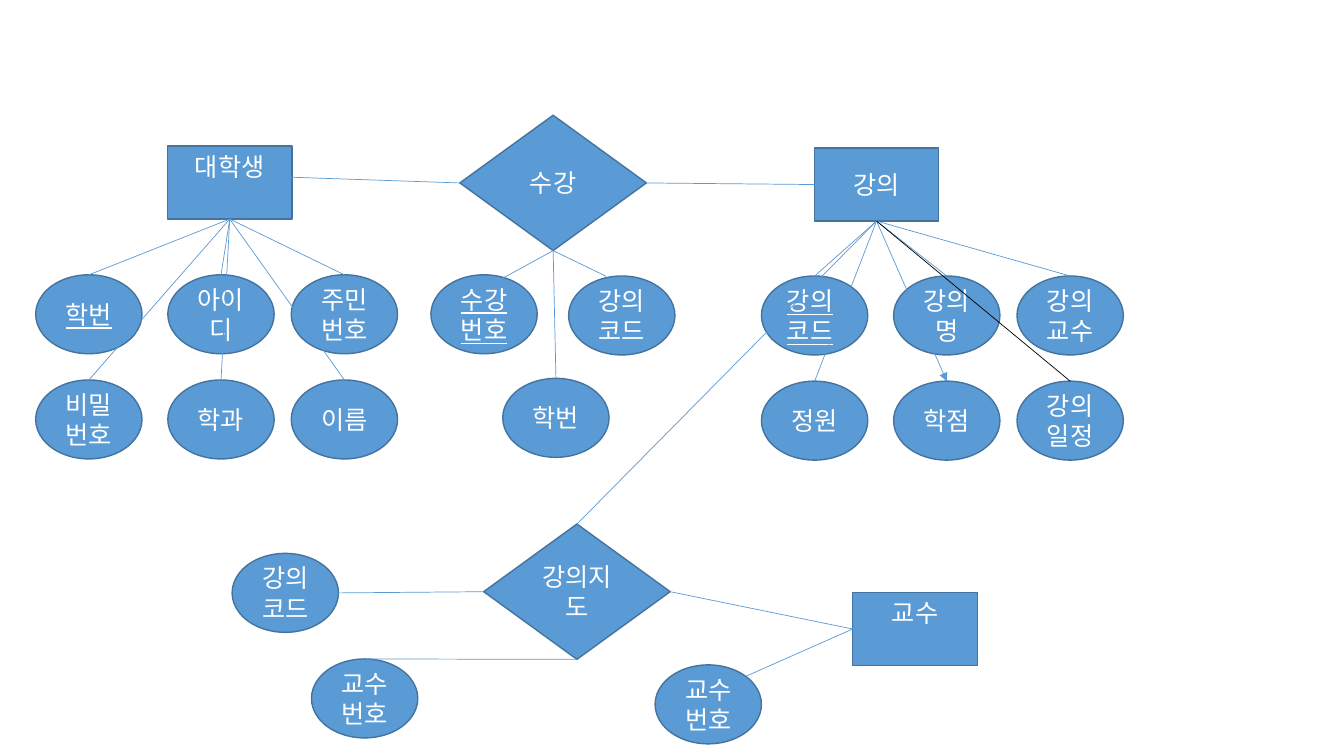
from lxml.etree import SubElement
from pptx import Presentation
from pptx.dml.color import RGBColor
from pptx.enum.shapes import MSO_CONNECTOR, MSO_SHAPE
from pptx.enum.text import MSO_ANCHOR, PP_ALIGN
from pptx.oxml.ns import qn
from pptx.util import Cm, Pt

FONT = "Noto Sans CJK KR"
BLUE, OUTLINE, WHITE, BLACK = "5B9BD5", "43739E", "FFFFFF", "000000"
TOP, LEFT, BOTTOM, RIGHT = range(4)

KINDS = {
    "entity": (MSO_SHAPE.RECTANGLE, 3.14, 1.84),
    "relation": (MSO_SHAPE.DIAMOND, 4.7, 3.41),
    "attribute": (MSO_SHAPE.OVAL, 2.68, 1.99),
}

NODES = {
    "student": ("entity", "대학생", 5.79, 4.6),
    "enrolment": ("relation", "수강", 13.94, 4.61),
    "course": ("entity", "강의", 22.09, 4.65),
    "guidance": ("relation", "강의지도", 14.54, 14.91),
    "professor": ("entity", "교수", 23.06, 15.85),
    "guidance course": ("attribute", "강의코드", 7.19, 14.94),
    "guidance professor": ("attribute", "교수번호", 9.19, 17.6),
    "professor number": ("attribute", "교수번호", 17.85, 17.75),
    "enrolment number": ("attribute", "수강번호", 12.2, 7.92),
    "enrolment course": ("attribute", "강의코드", 15.67, 7.95),
    "enrolment student": ("attribute", "학번", 14.01, 10.53),
}

GRIDS = {
    "student": (2.24, 7.92, [["학번", "아이디", "주민번호"], ["비밀번호", "학과", "이름"]]),
    "course": (20.53, 7.95, [["강의코드", "강의명", "강의교수"], ["정원", "학점", "강의일정"]]),
}
COLUMN_OFFSETS = (0, 3.33, 6.44)
ROW_PITCH = 2.65

PRIMARY_KEYS = {"enrolment number", "student 학번", "course 강의코드"}
TOP_ANCHORED = {"student", "professor"}
LEFT_ALIGNED = {"course 강의코드"}
BLACK_LINKS = {"course 강의일정"}
ARROW_LINKS = {"course 학점"}

LINKS = [
    ((6.88, 4.45), ("enrolment", LEFT)),
    (("course", LEFT), ("enrolment", RIGHT)),
    (("enrolment", BOTTOM), (12.67, 7.01)),
    (("enrolment", BOTTOM), ("enrolment student", TOP)),
    (("enrolment", BOTTOM), (15.27, 6.96)),
    (("guidance", LEFT), (8.53, 14.94)),
    (("guidance", BOTTOM), ("guidance professor", TOP)),
    (("guidance", RIGHT), ("professor", LEFT)),
    (("professor", LEFT), (18.8, 17.04)),
    (("course", BOTTOM), ("guidance", TOP)),
]

for owner, (first_x, first_y, rows) in GRIDS.items():
    for row, labels in enumerate(rows):
        for offset, label in zip(COLUMN_OFFSETS, labels):
            key = f"{owner} {label}"
            NODES[key] = ("attribute", label, first_x + offset, first_y + row * ROW_PITCH)
            LINKS.append(((owner, BOTTOM), (key, TOP)))


def rgb(value):
    return RGBColor.from_string(value)


def add_node(key, kind, label, center_x, center_y):
    preset, width, height = KINDS[kind]
    node = slide.shapes.add_shape(
        preset, Cm(center_x - width / 2), Cm(center_y - height / 2), Cm(width), Cm(height))
    node.shadow.inherit = False
    node.fill.solid()
    node.fill.fore_color.rgb = rgb(BLUE)
    node.line.color.rgb = rgb(OUTLINE)
    node.line.width = Pt(1)
    frame = node.text_frame
    frame.word_wrap = True
    frame.vertical_anchor = MSO_ANCHOR.TOP if key in TOP_ANCHORED else MSO_ANCHOR.MIDDLE
    frame.text = label
    paragraph = frame.paragraphs[0]
    paragraph.alignment = PP_ALIGN.LEFT if key in LEFT_ALIGNED else PP_ALIGN.CENTER
    font = paragraph.runs[0].font
    font.size = Pt(18)
    font.name = FONT
    font.color.rgb = rgb(WHITE)
    if key in PRIMARY_KEYS:
        font.underline = True
    SubElement(paragraph.runs[0]._r.get_or_add_rPr(), qn("a:ea"), typeface=FONT)
    return node


def add_link(start, end):
    points = [(0, 0) if isinstance(place[0], str) else place for place in (start, end)]
    link = slide.shapes.add_connector(
        MSO_CONNECTOR.STRAIGHT, *(Cm(value) for point in points for value in point))
    for place, connect in ((start, link.begin_connect), (end, link.end_connect)):
        if isinstance(place[0], str):
            connect(nodes[place[0]], place[1])
    link.line.color.rgb = rgb(BLACK if end[0] in BLACK_LINKS else BLUE)
    link.line.width = Pt(0.5)
    if end[0] in ARROW_LINKS:
        SubElement(link.line._get_or_add_ln(), qn("a:tailEnd"), type="triangle")
    SubElement(link._element.spPr, qn("a:effectLst"))


presentation = Presentation()
presentation.slide_width, presentation.slide_height = Cm(33.87), Cm(19.05)
slide = presentation.slides.add_slide(presentation.slide_layouts[6])

nodes = {key: add_node(key, *node) for key, node in NODES.items()}
for start, end in LINKS:
    add_link(start, end)

presentation.save("out.pptx")
